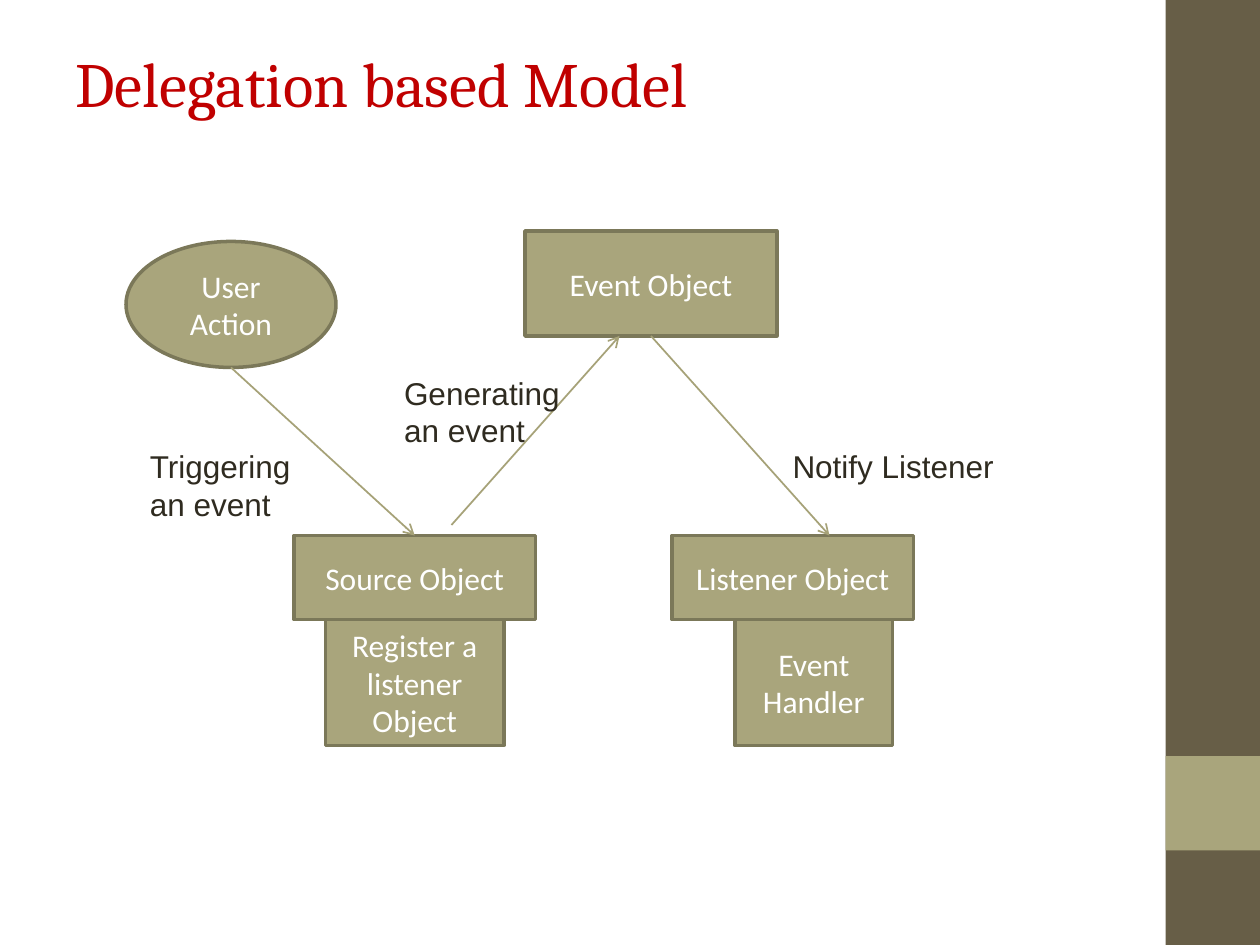
from lxml.etree import SubElement
from pptx import Presentation
from pptx.dml.color import RGBColor
from pptx.enum.shapes import MSO_CONNECTOR, MSO_SHAPE
from pptx.enum.text import MSO_ANCHOR as ANCHOR, PP_ALIGN as ALIGN
from pptx.oxml.ns import qn
from pptx.util import Inches, Pt

UNIT = Inches(1) / 12
DARK, OLIVE, EDGE, ARROW = "675E47", "A9A57C", "7B7859", "A6A278"
INK, RED, WHITE = "2F2B20", "C00000", "FFFFFF"

TITLE = ("Delegation based Model", (6, 3.6, 100, 8.4))
SIDEBAR = [((111, 0, 9, 90), DARK), ((111, 72, 9, 9), OLIVE)]
NODES = [
    ("User Action", MSO_SHAPE.OVAL, (12, 23, 20, 12)),
    ("Event Object", MSO_SHAPE.RECTANGLE, (50, 22, 24, 10)),
    ("Listener Object", MSO_SHAPE.RECTANGLE, (64, 51, 23, 8)),
    ("Event Handler", MSO_SHAPE.RECTANGLE, (70, 59, 15, 12)),
    ("Register a listener Object", MSO_SHAPE.RECTANGLE, (31, 59, 17, 12)),
    ("Source Object", MSO_SHAPE.RECTANGLE, (28, 51, 23, 8)),
]
ARROWS = [(22, 35, 39.5, 51), (43, 50, 59, 32), (62, 32, 79, 51)]
LABELS = [
    ("Triggering\nan event", (13.1, 42, 15.8, 8.4)),
    ("Generating\nan event", (37.3, 35, 17.2, 8.4)),
    ("Notify Listener", (74.3, 42, 21.6, 4.8)),
]


def rgb(color):
    return RGBColor.from_string(color)


def grid(cells):
    return [round(c * UNIT) for c in cells]


def write(sp, text, font, size, color, align=ALIGN.LEFT, anchor=ANCHOR.TOP, wrap=True):
    tf = sp.text_frame
    tf.text = text
    tf.word_wrap = wrap
    tf.vertical_anchor = anchor
    for p in tf.paragraphs:
        p.alignment = align
        p.font.name = font
        p.font.size = Pt(size)
        p.font.color.rgb = rgb(color)


def add_block(slide, kind, box, fill, line=None):
    sp = slide.shapes.add_shape(kind, *grid(box))
    sp.shadow.inherit = False
    sp.fill.solid()
    sp.fill.fore_color.rgb = rgb(fill)
    if line:
        sp.line.color.rgb = rgb(line)
        sp.line.width = Pt(2)
    else:
        sp.line.fill.background()
    return sp


def add_arrow(slide, ends):
    line = slide.shapes.add_connector(MSO_CONNECTOR.STRAIGHT, *grid(ends))
    line.line.color.rgb = rgb(ARROW)
    line.line.width = Pt(1)
    SubElement(line.line._get_or_add_ln(), qn("a:tailEnd"), type="arrow")
    SubElement(line._element.spPr, qn("a:effectLst"))


def main():
    prs = Presentation()
    prs.slide_width, prs.slide_height = grid((120, 90))
    slide = prs.slides.add_slide(prs.slide_layouts[6])

    for box, fill in SIDEBAR:
        add_block(slide, MSO_SHAPE.RECTANGLE, box, fill)

    text, box = TITLE
    write(slide.shapes.add_textbox(*grid(box)), text, "Cambria", 36, RED,
          anchor=ANCHOR.MIDDLE)

    for text, kind, box in NODES:
        sp = add_block(slide, kind, box, OLIVE, EDGE)
        write(sp, text, "Calibri", 18, WHITE, ALIGN.CENTER, ANCHOR.MIDDLE)

    for ends in ARROWS:
        add_arrow(slide, ends)

    for text, box in LABELS:
        write(slide.shapes.add_textbox(*grid(box)), text, "Arial", 18, INK, wrap=False)

    prs.save("out.pptx")


if __name__ == "__main__":
    main()
